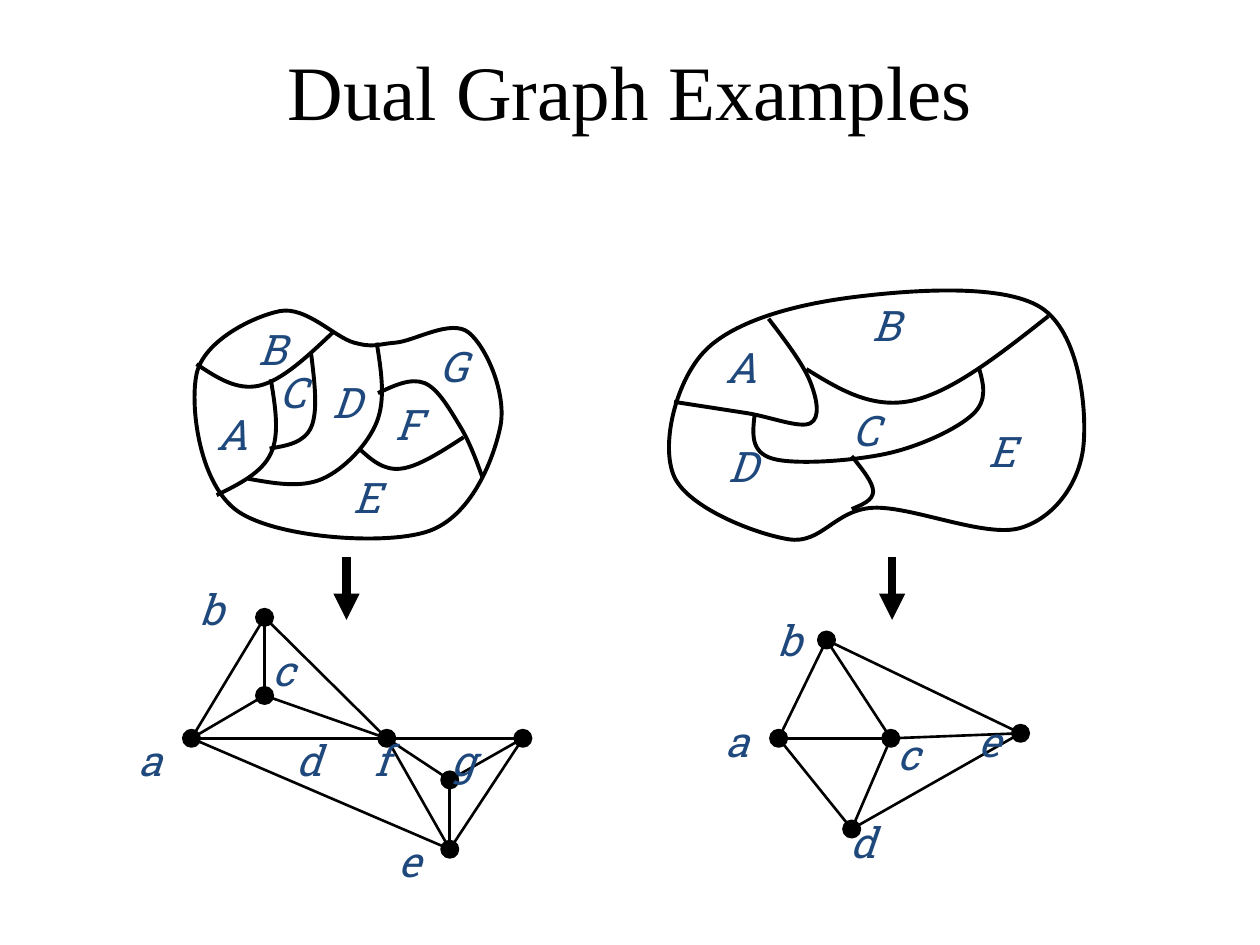
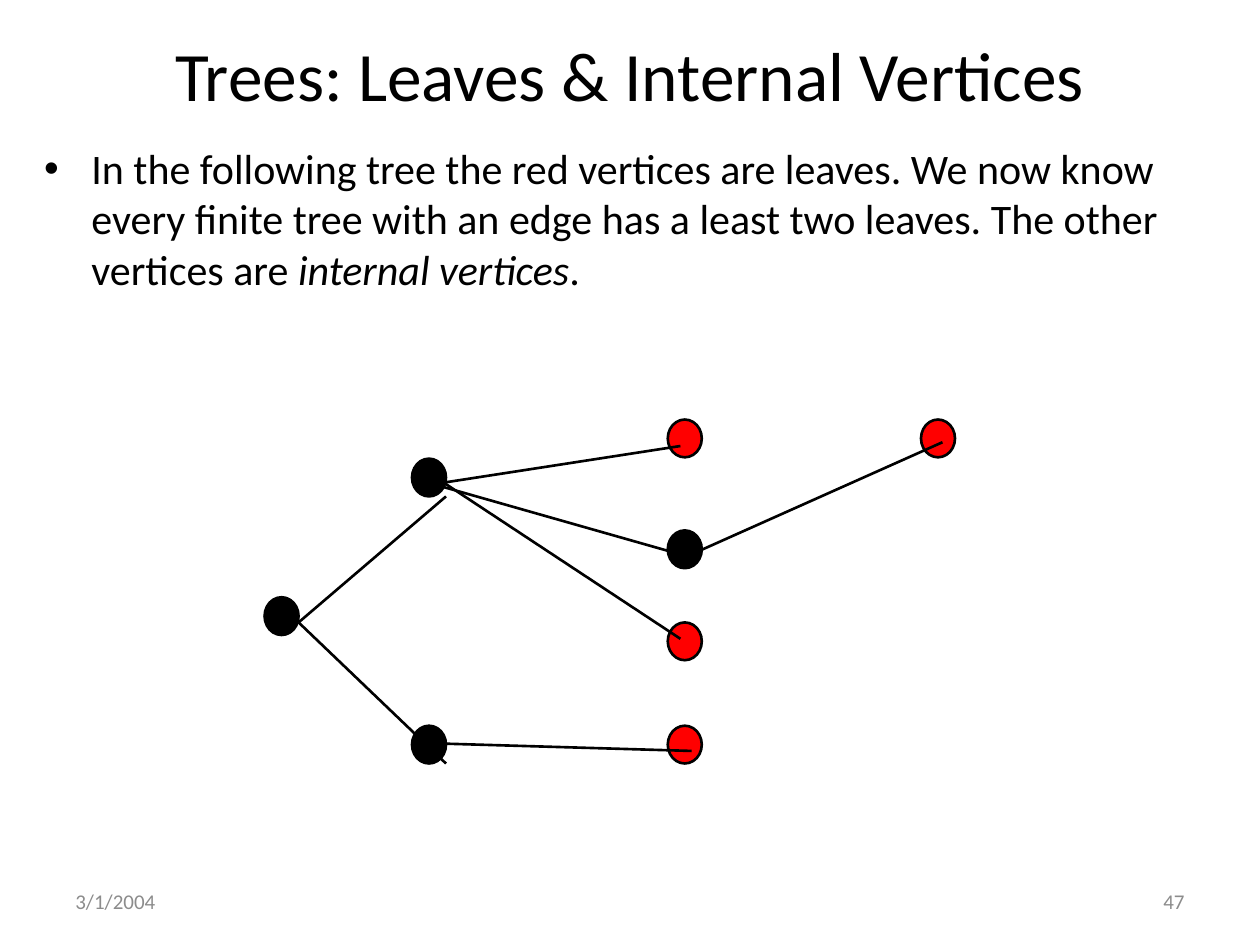
from dataclasses import dataclass

from pptx import Presentation
from pptx.dml.color import RGBColor
from pptx.enum.shapes import MSO_CONNECTOR, MSO_SHAPE
from pptx.enum.text import MSO_ANCHOR, MSO_AUTO_SIZE, PP_ALIGN
from pptx.oxml.ns import qn
from pptx.oxml.xmlchemy import OxmlElement
from pptx.util import Cm, Pt

OVAL, STRAIGHT = MSO_SHAPE.OVAL, MSO_CONNECTOR.STRAIGHT
LEFT, CENTER, RIGHT = PP_ALIGN.LEFT, PP_ALIGN.CENTER, PP_ALIGN.RIGHT
TOP, MIDDLE = MSO_ANCHOR.TOP, MSO_ANCHOR.MIDDLE
FIXED = MSO_AUTO_SIZE.NONE
GRID = 2.54


@dataclass(frozen=True)
class Theme:
    """Colours, fonts, type sizes and line widths of the deck."""
    black: RGBColor = RGBColor(0, 0, 0)
    blue: RGBColor = RGBColor(0x1F, 0x49, 0x7D)
    red: RGBColor = RGBColor(0xFF, 0, 0)
    gray: RGBColor = RGBColor(0x8C, 0x8C, 0x8C)
    sans: str = "Calibri"
    serif: str = "Times New Roman"
    slab: str = "Roboto Slab"
    large: float = 44
    head: float = 39.6
    text: float = 24
    foot: float = 12
    edge: float = 1.5
    curve: float = 2.25
    arrow: float = 5


@dataclass(frozen=True)
class Node:
    """A vertex: its centre, and the middle and top of its letter."""
    center: tuple
    label: tuple


@dataclass(frozen=True)
class Dual:
    """A map of regions and the graph that is dual to it."""
    rim: list
    walls: dict
    regions: dict
    nodes: dict
    edges: str
    arrow: float


THEME = Theme()

SEVEN = Dual(
    rim=[(3.14, 2.72), (2.81, 2.72), (2.22, 2.47), (1.56, 2.97), (1.89, 4.06),
         (3.39, 4.22), (3.97, 3.39), (3.72, 2.64)],
    walls={
        "under B": [(1.56, 2.89), (2.06, 3.06), (2.64, 2.64)],
        "around A": [(2.15, 3.01), (2.15, 3.6), (1.72, 3.93)],
        "around C": [(2.14, 3.56), (2.47, 3.39), (2.47, 2.81)],
        "around D": [(1.97, 3.8), (2.56, 3.8), (2.99, 3.35), (2.99, 2.72)],
        "under G": [(3, 3.12), (3.37, 3.04), (3.65, 3.38), (3.83, 3.79)],
        "under F": [(2.85, 3.56), (3.18, 3.72), (3.68, 3.47)],
    },
    regions={"A": (1.84, 3.19), "B": (2.16, 2.52), "C": (2.32, 2.86),
             "D": (2.75, 2.94), "E": (2.91, 3.69), "F": (3.24, 3.11),
             "G": (3.6, 2.65)},
    nodes={"a": Node((1.52, 5.86), (1.19, 5.78)),
           "b": Node((2.1, 4.9), (1.68, 4.58)),
           "c": Node((2.1, 5.52), (2.25, 5.07)),
           "d": Node((3.07, 5.86), (2.45, 5.78)),
           "e": Node((3.57, 6.74), (3.25, 6.58)),
           "f": Node((3.57, 6.19), (3.03, 5.78)),
           "g": Node((4.15, 5.86), (3.68, 5.78))},
    edges="ab ac ad ae bc bd cd de df dg ef eg fg",
    arrow=2.75)

FIVE = Dual(
    rim=[(5.6, 2.78), (6.76, 2.36), (8.26, 2.44), (8.6, 3.53), (8.1, 4.19),
         (6.93, 4.03), (6.26, 4.28), (5.35, 3.78)],
    walls={
        "around A": [(5.35, 3.19), (5.93, 3.28), (6.43, 3.36), (6.43, 3.03),
                     (6.1, 2.53)],
        "under B": [(6.4, 2.93), (7.24, 3.18), (8.32, 2.51)],
        "under C": [(5.99, 3.29), (6.13, 3.64), (7.04, 3.6), (7.72, 3.29),
                    (7.77, 2.92)],
        "D to E": [(6.76, 3.62), (6.93, 3.9), (6.76, 4.04)],
    },
    regions={"A": (5.88, 2.66), "B": (7.03, 2.33), "C": (6.87, 3.16),
             "D": (5.89, 3.45), "E": (7.95, 3.33)},
    nodes={"a": Node((6.18, 5.86), (5.85, 5.63)),
           "b": Node((6.56, 5.08), (6.26, 4.83)),
           "c": Node((7.07, 5.86), (7.21, 5.73)),
           "d": Node((6.76, 6.58), (6.85, 6.43)),
           "e": Node((8.1, 5.82), (7.85, 5.63))},
    edges="ab ac ad bc be cd ce de",
    arrow=7.08)

DOT = (0.13, 0.13)
KNOB = (0.27, 0.3)
TREE = {"root": (2.1, 4.74), "upper": (3.27, 3.64), "lower": (3.27, 5.76),
        "first": (5.3, 3.33), "second": (5.3, 4.21), "third": (5.3, 4.94),
        "fourth": (5.3, 5.76), "last": (7.31, 3.33)}
# Each branch: parent, its exit point, child, its entry point (from the corner).
BRANCHES = [
    ("root", (0.27, 0.2), "upper", KNOB),
    ("root", (0.27, 0.2), "lower", KNOB),
    ("upper", (0.19, 0.2), "first", (0.1, 0.21)),
    ("upper", (0.16, 0.2), "second", (0.1, 0.19)),
    ("upper", (0.13, 0.11), "third", (0.1, 0.13)),
    ("lower", (0.19, 0.14), "fourth", (0.19, 0.2)),
    ("second", (0.21, 0.18), "last", (0.17, 0.18)),
]


def scale(*units):
    """Turn grid units into lengths."""
    return [Cm(unit * GRID) for unit in units]


def shift(point, step, times=1):
    """Move a point by a multiple of a step."""
    return tuple(p + s * times for p, s in zip(point, step))


def blend(start, end):
    """Return the point halfway between two points."""
    return tuple((s + e) / 2 for s, e in zip(start, end))


def write(par, text, size, font, color, slant=False):
    """Add one styled run to a paragraph."""
    run = par.add_run()
    run.text = text
    run.font.size, run.font.name = Pt(size), font
    run.font.color.rgb, run.font.italic = color, slant


def place(shape, box):
    """Move a placeholder and return its first paragraph."""
    shape.left, shape.top, shape.width, shape.height = scale(*box)
    shape.text_frame.auto_size = FIXED
    return shape.text_frame.paragraphs[0]


def add_title(slide, text, box, size, font):
    """Fill the title placeholder."""
    par = place(slide.shapes.title, box)
    slide.shapes.title.text_frame.vertical_anchor = MIDDLE
    par.alignment = CENTER
    write(par, text, size, font, THEME.black)


def add_text(slide, box, align, anchor, wrap, *style):
    """Add a text box that holds one run."""
    frame = slide.shapes.add_textbox(*scale(*box)).text_frame
    frame.word_wrap, frame.vertical_anchor = wrap, anchor
    frame.paragraphs[0].alignment = align
    write(frame.paragraphs[0], *style)


def add_label(slide, text, spot):
    """Add a slanted letter below the spot and centred on it."""
    mid, top = spot
    add_text(slide, (mid - 0.22, top, 0.44, 0.5), CENTER, TOP, False,
             text, THEME.text, THEME.slab, THEME.blue, True)


def add_dot(slide, corner, size, color):
    """Draw a vertex from its top left corner."""
    dot = slide.shapes.add_shape(OVAL, *scale(*corner, *size))
    dot.shadow.inherit = False
    dot.fill.solid()
    dot.fill.fore_color.rgb = color
    dot.line.color.rgb, dot.line.width = THEME.black, Pt(THEME.edge)


def add_line(slide, start, end, width, arrow=False):
    """Draw a straight edge or an arrow."""
    line = slide.shapes.add_connector(STRAIGHT, *scale(*start, *end))
    line.line.color.rgb, line.line.width = THEME.black, Pt(width)
    if arrow:
        tip = OxmlElement("a:tailEnd")
        tip.set("type", "triangle")
        line._element.spPr.find(qn("a:ln")).append(tip)
    line._element.spPr.append(OxmlElement("a:effectLst"))


def bend(knots, closed):
    """Return two handles and an end for each span of a smooth curve."""
    if closed:
        ring = [knots[-1], *knots, *knots[:2]]
    else:
        ring = [knots[0], *knots, knots[-1]]
    spans = []
    for before, start, end, after in zip(ring, ring[1:], ring[2:], ring[3:]):
        leave = shift(start, shift(end, before, -1), 1 / 6)
        reach = shift(end, shift(after, start, -1), -1 / 6)
        if not closed and start == knots[0]:
            leave = blend(start, reach)
        if not closed and end == knots[-1]:
            reach = blend(leave, end)
        spans.append((leave, reach, end))
    return spans


def add_curve(slide, knots, closed=False):
    """Draw a smooth curve through the knots."""
    spans = bend(knots, closed)
    pen = slide.shapes.build_freeform(*scale(*knots[0]))
    pen.add_line_segments([scale(*point) for span in spans for point in span],
                          close=closed)
    shape = pen.convert_to_shape()
    shape.shadow.inherit = False
    shape.fill.background()
    shape.line.color.rgb, shape.line.width = THEME.black, Pt(THEME.curve)
    trace = next(shape._element.iter(qn("a:path")))
    steps = iter(trace.findall(qn("a:lnTo")))
    for trio in zip(steps, steps, steps):
        cubic = OxmlElement("a:cubicBezTo")
        trio[0].addprevious(cubic)
        for step in trio:
            cubic.append(step[0])
            trace.remove(step)


def draw_map(slide, dual):
    """Draw the rim, the walls and the region letters of a map."""
    add_curve(slide, dual.rim, closed=True)
    for wall in dual.walls.values():
        add_curve(slide, wall)
    for name, spot in dual.regions.items():
        add_label(slide, name, spot)


def draw_graph(slide, dual):
    """Join the named vertices, then draw their dots and letters."""
    for start, end in dual.edges.split():
        add_line(slide, dual.nodes[start].center, dual.nodes[end].center,
                 THEME.edge)
    for name, node in dual.nodes.items():
        add_dot(slide, shift(node.center, DOT, -1 / 2), DOT, THEME.black)
        add_label(slide, name, node.label)


def draw_duals(deck):
    """Build the slide of maps and their dual graphs."""
    slide = deck.slides.add_slide(deck.slide_layouts[5])
    add_title(slide, "Dual Graph Examples", (0.5, 0.17, 9, 1.08),
              THEME.large, THEME.serif)
    for dual in (SEVEN, FIVE):
        draw_map(slide, dual)
        draw_graph(slide, dual)
        add_line(slide, (dual.arrow, 4.42), (dual.arrow, 4.92),
                 THEME.arrow, arrow=True)


def draw_tree(deck):
    """Build the slide of the tree, where childless vertices are red."""
    slide = deck.slides.add_slide(deck.slide_layouts[1])
    add_title(slide, "Trees: Leaves & Internal Vertices",
              (0.25, 0.25, 9.5, 0.67), THEME.head, THEME.sans)
    par = place(slide.placeholders[1], (0.25, 1.08, 9.5, 5.75))
    par.space_before = Pt(0)
    style = THEME.text, THEME.sans, THEME.black
    write(par, "In the following tree the red vertices are leaves. We now know "
          "every finite tree with an edge has a least two leaves. The other "
          "vertices are ", *style)
    write(par, "internal vertices", *style, True)
    write(par, ".", *style)
    parents = {branch[0] for branch in BRANCHES}
    for name, corner in TREE.items():
        color = THEME.black if name in parents else THEME.red
        add_dot(slide, corner, KNOB, color)
    for parent, leave, child, reach in BRANCHES:
        add_line(slide, shift(TREE[parent], leave), shift(TREE[child], reach),
                 THEME.edge)
    for text, left, align in (("3/1/2004", 0.5, LEFT), ("47", 7.17, RIGHT)):
        add_text(slide, (left, 6.95, 2.33, 0.4), align, MIDDLE, True,
                 text, THEME.foot, THEME.sans, THEME.gray)


def main():
    """Build and save the deck."""
    deck = Presentation()
    deck.slide_width, deck.slide_height = scale(10, 7.5)
    draw_duals(deck)
    draw_tree(deck)
    deck.save("out.pptx")


if __name__ == "__main__":
    main()
